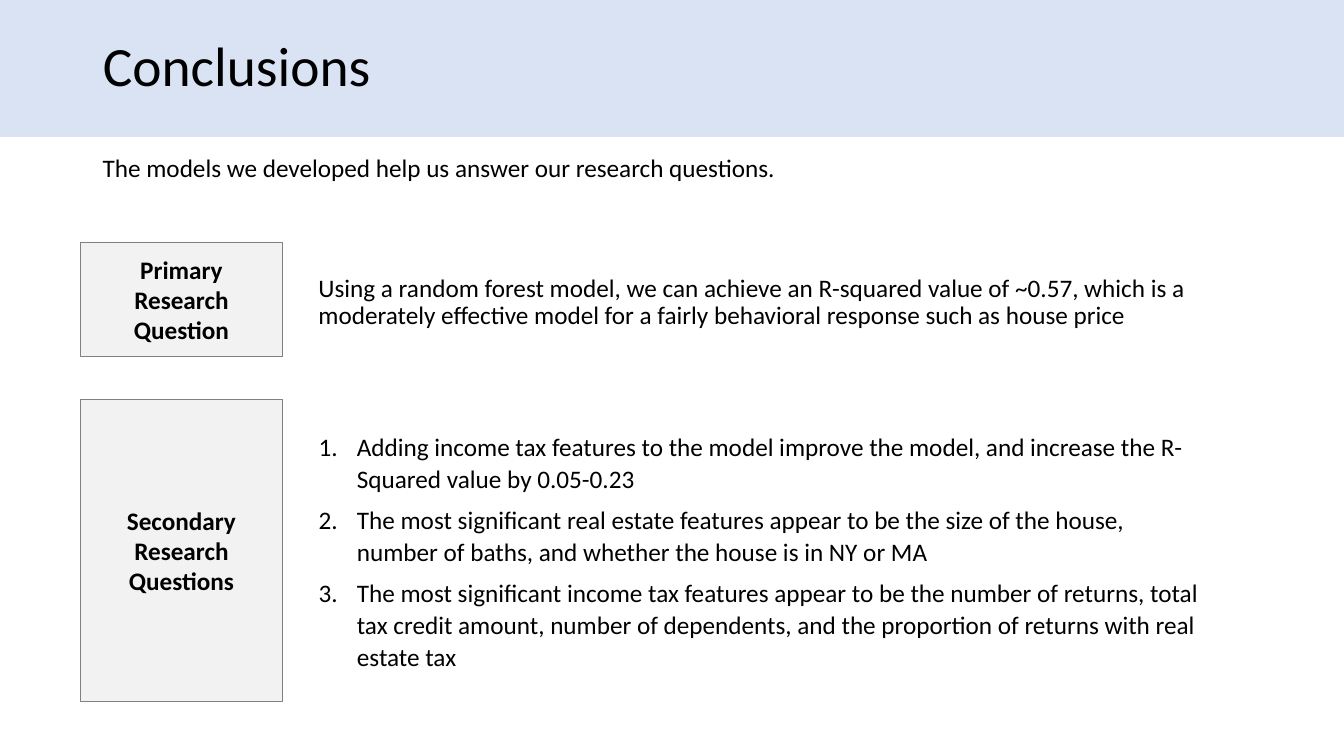
from dataclasses import dataclass

from lxml.etree import SubElement
from pptx import Presentation
from pptx.dml.color import RGBColor
from pptx.enum.shapes import MSO_SHAPE
from pptx.enum.text import MSO_ANCHOR, MSO_AUTO_SIZE, PP_ALIGN
from pptx.oxml.ns import qn
from pptx.shapes.autoshape import Shape
from pptx.slide import Slide
from pptx.util import Inches, Pt


@dataclass(frozen=True)
class Theme:
    font: str = "Calibri"
    text: RGBColor = RGBColor(0x00, 0x00, 0x00)
    band: RGBColor = RGBColor(0xDA, 0xE3, 0xF3)
    label: RGBColor = RGBColor(0xF2, 0xF2, 0xF2)
    border: RGBColor = RGBColor(0x80, 0x80, 0x80)
    title_size: float = 39.6
    body_size: float = 18


@dataclass(frozen=True)
class Box:
    left: float
    top: float
    width: float
    height: float

    def lengths(self) -> tuple[Inches, ...]:
        return tuple(Inches(side) for side in (self.left, self.top, self.width, self.height))


@dataclass(frozen=True)
class TextStyle:
    size: float = 18
    bold: bool = False
    align: PP_ALIGN = PP_ALIGN.LEFT
    anchor: MSO_ANCHOR = MSO_ANCHOR.MIDDLE
    line_spacing: float = 1.0
    before: float = 0
    after: float = 0
    numbered: bool = False


@dataclass(frozen=True)
class QuestionLabel:
    text: str
    top: float
    height: float


THEME = Theme()
TITLE = TextStyle(size=THEME.title_size, line_spacing=0.9)
INTRO = TextStyle(size=THEME.body_size, anchor=MSO_ANCHOR.TOP, line_spacing=0.9, before=10)
ANSWER = TextStyle(size=THEME.body_size, line_spacing=0.9, before=10)
FINDINGS = TextStyle(size=THEME.body_size, line_spacing=1.07, after=6, numbered=True)
LABEL = TextStyle(size=THEME.body_size, bold=True, align=PP_ALIGN.CENTER)

SLIDE_WIDTH, SLIDE_HEIGHT = 13.33, 7.5
NUMBER_INDENT = 0.38
LABELS = (
    QuestionLabel("Primary Research Question", 2.4, 1.14),
    QuestionLabel("Secondary Research Questions", 3.96, 3),
)
SECONDARY_FINDINGS = (
    "Adding income tax features to the model improve the model, and increase the "
    "R-Squared value by 0.05-0.23",
    "The most significant real estate features appear to be the size of the house, "
    "number of baths, and whether the house is in NY or MA",
    "The most significant income tax features appear to be the number of returns, "
    "total tax credit amount, number of dependents, and the proportion of returns "
    "with real estate tax",
)


def write(target: Shape, lines: tuple[str, ...], style: TextStyle) -> None:
    frame = target.text_frame
    frame.text = "\n".join(lines)
    frame.word_wrap = True
    frame.auto_size = MSO_AUTO_SIZE.NONE
    frame.vertical_anchor = style.anchor
    for paragraph in frame.paragraphs:
        paragraph.alignment = style.align
        paragraph.line_spacing = style.line_spacing
        paragraph.space_before = Pt(style.before)
        paragraph.space_after = Pt(style.after)
        if style.numbered:
            properties = paragraph._p.get_or_add_pPr()
            properties.set("marL", str(Inches(NUMBER_INDENT)))
            properties.set("indent", str(-Inches(NUMBER_INDENT)))
            SubElement(properties, qn("a:buFont"), typeface="+mj-lt")
            SubElement(properties, qn("a:buAutoNum"), type="arabicPeriod")
        font = paragraph.font
        font.name = THEME.font
        font.size = Pt(style.size)
        font.bold = style.bold
        font.color.rgb = THEME.text


def place(target: Shape, box: Box) -> Shape:
    target.left, target.top, target.width, target.height = box.lengths()
    return target


def add_rectangle(slide: Slide, box: Box, fill: RGBColor) -> Shape:
    rectangle = slide.shapes.add_shape(MSO_SHAPE.RECTANGLE, *box.lengths())
    rectangle.shadow.inherit = False
    rectangle.fill.solid()
    rectangle.fill.fore_color.rgb = fill
    rectangle.line.fill.background()
    return rectangle


def add_label(slide: Slide, label: QuestionLabel) -> None:
    rectangle = add_rectangle(slide, Box(0.8, label.top, 2, label.height), THEME.label)
    rectangle.line.color.rgb = THEME.border
    rectangle.line.width = Pt(0.5)
    write(rectangle, (label.text,), LABEL)


def add_text(slide: Slide, box: Box, text: str, style: TextStyle) -> None:
    write(slide.shapes.add_textbox(*box.lengths()), (text,), style)


presentation = Presentation()
presentation.slide_width = Inches(SLIDE_WIDTH)
presentation.slide_height = Inches(SLIDE_HEIGHT)
conclusions = presentation.slides.add_slide(presentation.slide_layouts[1])

header_band = add_rectangle(conclusions, Box(0, 0, SLIDE_WIDTH, 1.36), THEME.band)
conclusions.shapes._spTree.insert(2, header_band._element)

heading = place(conclusions.shapes.title, Box(0.92, 0.32, 11.5, 0.72))
write(heading, ("Conclusions",), TITLE)
findings = place(conclusions.placeholders[1], Box(3.06, 3.96, 9, 3))
write(findings, SECONDARY_FINDINGS, FINDINGS)

add_text(
    conclusions,
    Box(3.06, 2.47, 9, 1.07),
    "Using a random forest model, we can achieve an R-squared value of ~0.57, which is a "
    "moderately effective model for a fairly behavioral response such as house price",
    ANSWER,
)
for question_label in LABELS:
    add_label(conclusions, question_label)
add_text(
    conclusions,
    Box(0.92, 1.5, 11.5, 0.72),
    "The models we developed help us answer our research questions.",
    INTRO,
)

presentation.save("out.pptx")
